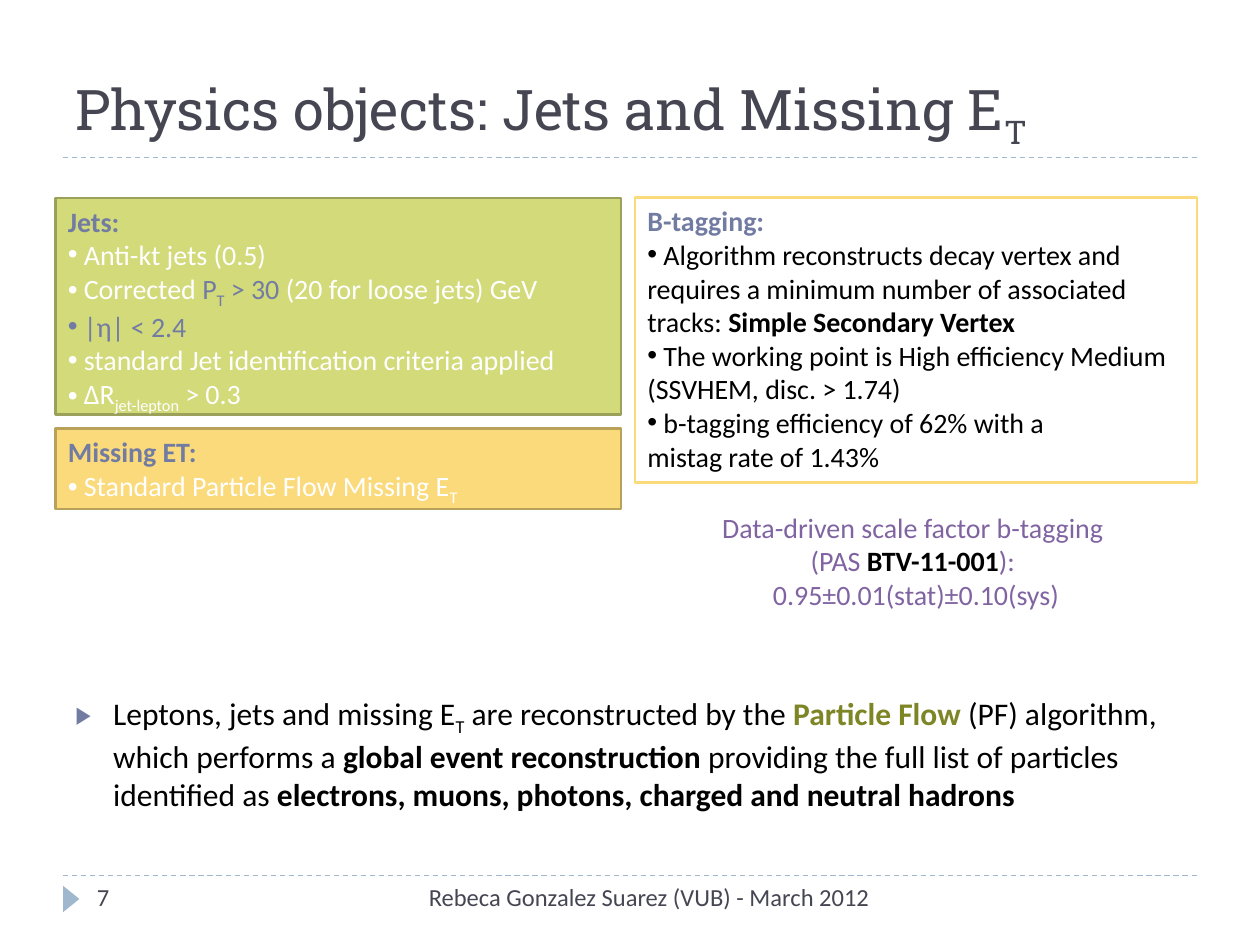
from lxml.etree import SubElement
from pptx import Presentation
from pptx.dml.color import RGBColor
from pptx.enum.dml import MSO_LINE
from pptx.enum.shapes import MSO_CONNECTOR, MSO_SHAPE
from pptx.enum.text import MSO_ANCHOR, PP_ALIGN
from pptx.oxml.ns import qn
from pptx.util import Inches, Pt

INK = RGBColor(0x46, 0x46, 0x53)
SLATE = RGBColor(0x72, 0x7C, 0xA3)
SKY = RGBColor(0x9F, 0xB8, 0xCD)
LIME = RGBColor(0xD2, 0xDA, 0x7A)
LIME_EDGE = RGBColor(0x9B, 0xA1, 0x5A)
GOLD = RGBColor(0xFA, 0xDA, 0x7A)
GOLD_EDGE = RGBColor(0xB9, 0xA1, 0x5A)
OLIVE = RGBColor(0x7D, 0x85, 0x25)
PURPLE = RGBColor(0x80, 0x64, 0xA2)
WHITE = RGBColor(0xFF, 0xFF, 0xFF)
BLACK = RGBColor(0, 0, 0)

SUBSCRIPT = "-25000"
LEFT, RIGHT, CENTER = PP_ALIGN.LEFT, PP_ALIGN.RIGHT, PP_ALIGN.CENTER
DOT = {"char": "•", "font": "Arial"}
ARROW = {"char": "▶", "font": "Arial", "color": "727CA3", "size": "76000",
         "indent": 0.3}

# A run is (text, colour, style), with style "", "bold" or "sub".
# A paragraph is (bullet, runs).
JETS = [
    (None, [("Jets:", SLATE, "bold")]),
    (DOT, [(" Anti-kt jets (0.5)", WHITE, "")]),
    (DOT, [(" Corrected ", WHITE, ""), ("P", SLATE, ""), ("T", SLATE, "sub"),
           (" > 30 ", SLATE, ""), ("(20 for loose jets) GeV", WHITE, "")]),
    (DOT, [(" |η| < 2.4", SLATE, "")]),
    (DOT, [(" standard Jet identification criteria applied", WHITE, "")]),
    (DOT, [(" ΔR", WHITE, ""), ("jet-lepton", WHITE, "sub"),
           (" > 0.3", WHITE, "")]),
]
B_TAGGING = [
    (None, [("B-tagging:", SLATE, "bold")]),
    (DOT, [(" Algorithm reconstructs decay vertex and requires a minimum "
            "number of associated tracks: ", BLACK, ""),
           ("Simple Secondary Vertex", BLACK, "bold")]),
    (DOT, [(" The working point is High efficiency Medium "
            "(SSVHEM, disc. > 1.74)", BLACK, "")]),
    (DOT, [(" b-tagging efficiency of 62% with a", BLACK, "")]),
    (None, [("mistag rate of 1.43%", BLACK, "")]),
]
MISSING_ET = [
    (None, [("Missing ET:", SLATE, "bold")]),
    (DOT, [(" Standard Particle Flow Missing E", WHITE, ""),
           ("T", WHITE, "sub")]),
]
SCALE_FACTOR = [
    (None, [("Data-driven scale factor b-tagging ", PURPLE, "")]),
    (None, [("(PAS ", PURPLE, ""), ("BTV-11-001", BLACK, "bold"),
            ("): ", PURPLE, "")]),
    (None, [("0.95±0.01(stat)±0.10(sys)", PURPLE, "")]),
]
PARTICLE_FLOW = [
    (ARROW, [("Leptons, jets and missing E", BLACK, ""), ("T", BLACK, "sub"),
             (" are reconstructed by the ", BLACK, ""),
             ("Particle Flow ", OLIVE, "bold"),
             ("(PF) algorithm, which performs a ", BLACK, ""),
             ("global event reconstruction ", BLACK, "bold"),
             ("providing the full list of particles identified as ", BLACK, ""),
             ("electrons, muons, photons, charged and neutral hadrons",
              BLACK, "bold")]),
]
TITLE = [(None, [("Physics objects: Jets and Missing E", INK, ""),
                 ("T", INK, "sub")])]
FOOTER = [(None, [("Rebeca Gonzalez Suarez (VUB) - March 2012", INK, "")])]
PAGE = [(None, [("7", INK, "")])]

# (left, top, width, height), fill, edge, paragraphs
PANELS = [
    ((0.44, 1.57, 4.49, 1.72), LIME, LIME_EDGE, JETS),
    ((5.04, 1.57, 4.46, 2.26), WHITE, GOLD, B_TAGGING),
    ((0.44, 3.4, 4.49, 0.64), GOLD, GOLD_EDGE, MISSING_ET),
]
# (left, top, width, height), size, font, alignment, anchor, paragraphs
TEXTS = [
    ((0.5, 0.25, 9, 1), 32, "Roboto Slab", LEFT, MSO_ANCHOR.BOTTOM, TITLE),
    ((5.04, 4, 4.46, 0.91), 16, "Calibri", CENTER, MSO_ANCHOR.TOP,
     SCALE_FACTOR),
    ((0.5, 5.46, 9, 1.15), 18, "Calibri", LEFT, MSO_ANCHOR.TOP, PARTICLE_FLOW),
    ((3.17, 6.95, 3.83, 0.4), 14, "Calibri", RIGHT, MSO_ANCHOR.TOP, FOOTER),
    ((0.67, 6.95, 2.17, 0.4), 14, "Calibri", LEFT, MSO_ANCHOR.TOP, PAGE),
]
RULES_Y = [1.25, 6.95]


def add_bullet(paragraph, bullet):
    props = paragraph._p.get_or_add_pPr()
    indent = Inches(bullet.get("indent", 0))
    props.set("marL", str(indent))
    props.set("indent", str(-indent))
    if "color" in bullet:
        color = SubElement(props, qn("a:buClr"))
        SubElement(color, qn("a:srgbClr"), val=bullet["color"])
    if "size" in bullet:
        SubElement(props, qn("a:buSzPct"), val=bullet["size"])
    SubElement(props, qn("a:buFont"), typeface=bullet["font"])
    SubElement(props, qn("a:buChar"), char=bullet["char"])


def write(frame, paragraphs, size, font="Calibri", align=LEFT,
          anchor=MSO_ANCHOR.TOP):
    frame.word_wrap = True
    frame.vertical_anchor = anchor
    for number, (bullet, runs) in enumerate(paragraphs):
        paragraph = frame.add_paragraph() if number else frame.paragraphs[0]
        paragraph.alignment = align
        if bullet is ARROW:
            paragraph.space_before = Pt(6)
        if bullet:
            add_bullet(paragraph, bullet)
        for text, color, style in runs:
            run = paragraph.add_run()
            run.text = text
            looks = {"name": font, "size": Pt(size), "bold": style == "bold"}
            for key, value in looks.items():
                setattr(run.font, key, value)
            run.font.color.rgb = color
            if style == "sub":
                run._r.get_or_add_rPr().set("baseline", SUBSCRIPT)


def add_filled(slide, kind, box, fill):
    shape = slide.shapes.add_shape(kind, *map(Inches, box))
    shape.shadow.inherit = False
    shape.fill.solid()
    shape.fill.fore_color.rgb = fill
    return shape


def add_rule(slide, y):
    rule = slide.shapes.add_connector(
        MSO_CONNECTOR.STRAIGHT, *map(Inches, (0.5, y, 9.5, y)))
    rule.line.color.rgb = SKY
    rule.line.width = Pt(0.75)
    rule.line.dash_style = MSO_LINE.DASH
    SubElement(rule._element.spPr, qn("a:effectLst"))


def main():
    deck = Presentation()
    deck.slide_width, deck.slide_height = Inches(10), Inches(7.5)
    slide = deck.slides.add_slide(deck.slide_layouts[6])

    for y in RULES_Y:
        add_rule(slide, y)
    marker = add_filled(slide, MSO_SHAPE.ISOSCELES_TRIANGLE,
                        (0.46, 7.07, 0.21, 0.13), SKY)
    marker.rotation = 90
    marker.line.fill.background()

    for box, fill, edge, paragraphs in PANELS:
        panel = add_filled(slide, MSO_SHAPE.RECTANGLE, box, fill)
        panel.line.color.rgb = edge
        panel.line.width = Pt(1.5)
        write(panel.text_frame, paragraphs, 16)
    for box, size, font, align, anchor, paragraphs in TEXTS:
        textbox = slide.shapes.add_textbox(*map(Inches, box))
        write(textbox.text_frame, paragraphs, size, font, align, anchor)

    deck.save("out.pptx")


if __name__ == "__main__":
    main()
